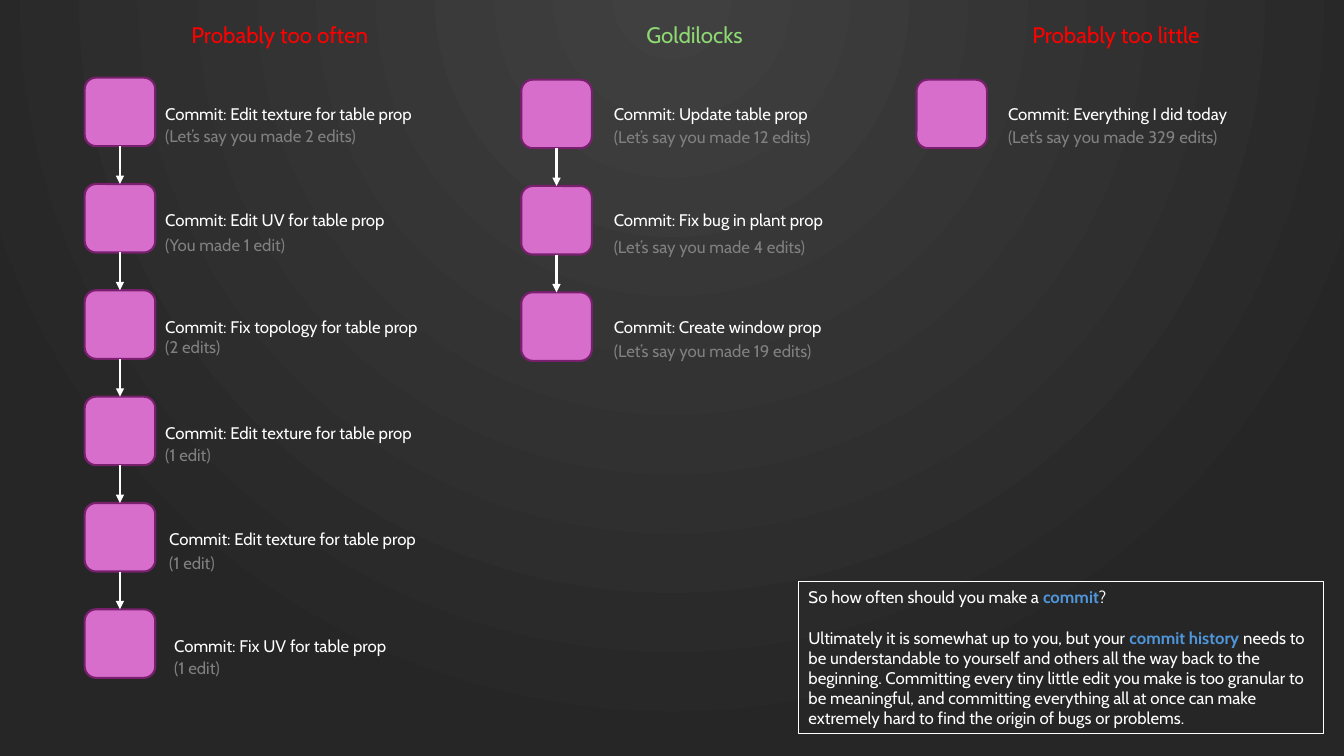
from dataclasses import dataclass

from lxml import etree
from pptx import Presentation
from pptx.dml.color import RGBColor
from pptx.enum.shapes import MSO_CONNECTOR, MSO_SHAPE
from pptx.enum.text import MSO_ANCHOR, MSO_AUTO_SIZE, PP_ALIGN
from pptx.oxml.ns import qn
from pptx.util import Inches, Pt

ROUNDED, RECTANGLE = MSO_SHAPE.ROUNDED_RECTANGLE, MSO_SHAPE.RECTANGLE
STRAIGHT = MSO_CONNECTOR.STRAIGHT
TOP, MIDDLE = MSO_ANCHOR.TOP, MSO_ANCHOR.MIDDLE
LEFT = PP_ALIGN.LEFT
FIT_SHAPE = MSO_AUTO_SIZE.SHAPE_TO_FIT_TEXT
SITE_TOP, SITE_BOTTOM = 0, 2
TITLE_ONLY = 5


@dataclass(frozen=True)
class Theme:
    font: str = "Cabin"
    heading_size: float = 16
    text_size: float = 12
    white: str = "FFFFFF"
    grey: str = "808080"
    warning: str = "FF0000"
    good: str = "8ED973"
    accent: str = "4E95D9"
    commit_fill: str = "D86ECC"
    commit_line: str = "78206E"
    glow: str = "404040"
    edge: str = "262626"


THEME = Theme()

# Commits: message, message width, note, note width, label left, gap from message to note
COLUMNS = [
    {
        "heading": "Probably too often", "color": THEME.warning,
        "heading_left": 1.8, "heading_width": 1.98,
        "left": 0.84, "top": 0.77,
        "commits": [
            ("Commit: Edit texture for table prop", 2.71, "(Let’s say you made 2 edits)", 2.2, 1.54, 0.22),
            ("Commit: Edit UV for table prop", 2.41, "(You made 1 edit)", 1.46, 1.54, 0.24),
            ("Commit: Fix topology for table prop", 2.75, "(2 edits)", 0.79, 1.54, 0.2),
            ("Commit: Edit texture for table prop", 2.71, "(1 edit)", 0.7, 1.54, 0.22),
            ("Commit: Edit texture for table prop", 2.71, "(1 edit)", 0.7, 1.58, 0.23),
            ("Commit: Fix UV for table prop", 2.33, "(1 edit)", 0.7, 1.63, 0.22),
        ],
    },
    {
        "heading": "Goldilocks", "color": THEME.good,
        "heading_left": 6.31, "heading_width": 1.24,
        "left": 5.17, "top": 0.79,
        "commits": [
            ("Commit: Update table prop", 2.19, "(Let’s say you made 12 edits)", 2.29, 5.99, 0.23),
            ("Commit: Fix bug in plant prop", 2.33, "(Let’s say you made 4 edits)", 2.2, 5.99, 0.26),
            ("Commit: Create window prop", 2.33, "(Let’s say you made 19 edits)", 2.29, 5.99, 0.24),
        ],
    },
    {
        "heading": "Probably too little", "color": THEME.warning,
        "heading_left": 10.14, "heading_width": 1.9,
        "left": 9.09, "top": 0.79,
        "commits": [
            ("Commit: Everything I did today", 2.41, "(Let’s say you made 329 edits)", 2.37, 9.9, 0.23),
        ],
    },
]
TITLE_HEADING = "Goldilocks"

# Paragraphs of (words, is key term)
ADVICE = [
    [("So how often should you make a ", False), ("commit", True), ("?", False)],
    [
        ("Ultimately it is somewhat up to you, but your ", False),
        ("commit history ", True),
        ("needs to be understandable to yourself and others all the way back to the "
         "beginning. Committing every tiny little edit you make is too granular to be "
         "meaningful, and committing everything all at once can make extremely hard to "
         "find the origin of bugs or problems.", False),
    ],
]

ROW_PITCH = 1.055
MESSAGE_TOP = 0.98
COMMIT_SIZE = (0.7, 0.68)
LABEL_HEIGHT = 0.3
HEADING_TOP, HEADING_HEIGHT = 0.16, 0.37
ADVICE_AREA = (7.92, 5.77, 5.21, 1.51)
ADVICE_GAP = 14.4


def rgb(color):
    return RGBColor.from_string(color)


def style_font(font, size, color, bold=False):
    font.name = THEME.font
    font.size = Pt(size)
    font.bold = bold
    font.color.rgb = rgb(color)


def paint_background(slide):
    fill = slide.background.fill
    fill.gradient()
    for stop, color in zip(fill.gradient_stops, (THEME.glow, THEME.edge)):
        stop.color.rgb = rgb(color)
    for position, stop in enumerate(fill.gradient_stops):
        stop.position = position
    gradient = next(slide.element.iter(qn("a:gradFill")))
    linear = gradient.find(qn("a:lin"))
    circle = etree.Element(qn("a:path"), {"path": "circle"})
    etree.SubElement(circle, qn("a:fillToRect"),
                     {"l": "50000", "t": "-80000", "r": "50000", "b": "180000"})
    gradient.replace(linear, circle)


def write_line(holder, words, size, color):
    """Put one unwrapped, left-aligned line into a text box or placeholder."""
    frame = holder.text_frame
    frame.text = words
    frame.word_wrap = False
    frame.auto_size = FIT_SHAPE
    frame.vertical_anchor = TOP
    paragraph = frame.paragraphs[0]
    paragraph.alignment = LEFT
    style_font(paragraph.runs[0].font, size, color)


def add_heading(slide, column):
    area = [Inches(n) for n in (column["heading_left"], HEADING_TOP,
                                column["heading_width"], HEADING_HEIGHT)]
    if column["heading"] == TITLE_HEADING:
        holder = slide.shapes.title
        holder.left, holder.top, holder.width, holder.height = area
    else:
        holder = slide.shapes.add_textbox(*area)
    write_line(holder, column["heading"], THEME.heading_size, column["color"])


def add_label(slide, words, left, top, width, color):
    label = slide.shapes.add_textbox(Inches(left), Inches(top),
                                     Inches(width), Inches(LABEL_HEIGHT))
    write_line(label, words, THEME.text_size, color)


def add_commit_box(slide, left, top):
    box = slide.shapes.add_shape(ROUNDED, *map(Inches, (left, top, *COMMIT_SIZE)))
    box.shadow.inherit = False
    box.fill.solid()
    box.fill.fore_color.rgb = rgb(THEME.commit_fill)
    box.line.color.rgb = rgb(THEME.commit_line)
    box.line.width = Pt(1.5)
    return box


def add_arrow(slide, upper, lower):
    arrow = slide.shapes.add_connector(STRAIGHT, 0, 0, 0, 0)
    arrow.begin_connect(upper, SITE_BOTTOM)
    arrow.end_connect(lower, SITE_TOP)
    arrow.line.color.rgb = rgb(THEME.white)
    arrow.line.width = Pt(1.5)
    etree.SubElement(arrow.line._get_or_add_ln(), qn("a:tailEnd"), {"type": "triangle"})
    etree.SubElement(arrow.element.spPr, qn("a:effectLst"))


def add_column(slide, column):
    add_heading(slide, column)
    boxes = []
    for row, commit in enumerate(column["commits"]):
        message, message_width, note, note_width, left, gap = commit
        drop = row * ROW_PITCH
        message_top = MESSAGE_TOP + drop
        boxes.append(add_commit_box(slide, column["left"], column["top"] + drop))
        add_label(slide, message, left, message_top, message_width, THEME.white)
        add_label(slide, note, left, message_top + gap, note_width, THEME.grey)
    for upper, lower in zip(boxes, boxes[1:]):
        add_arrow(slide, upper, lower)


def add_advice(slide):
    panel = slide.shapes.add_shape(RECTANGLE, *map(Inches, ADVICE_AREA))
    panel.shadow.inherit = False
    panel.fill.background()
    panel.line.color.rgb = rgb(THEME.white)
    panel.line.width = Pt(0.75)
    frame = panel.text_frame
    frame.word_wrap = True
    frame.auto_size = FIT_SHAPE
    frame.vertical_anchor = MIDDLE
    for index, passage in enumerate(ADVICE):
        paragraph = frame.add_paragraph() if index else frame.paragraphs[0]
        paragraph.alignment = LEFT
        paragraph.space_before = Pt(ADVICE_GAP if index else 0)
        for words, is_key_term in passage:
            run = paragraph.add_run()
            run.text = words
            color = THEME.accent if is_key_term else THEME.white
            style_font(run.font, THEME.text_size, color, is_key_term)


def main():
    deck = Presentation()
    deck.slide_width, deck.slide_height = Inches(13.33), Inches(7.5)
    slide = deck.slides.add_slide(deck.slide_layouts[TITLE_ONLY])
    paint_background(slide)
    for column in COLUMNS:
        add_column(slide, column)
    add_advice(slide)
    deck.save("out.pptx")


if __name__ == "__main__":
    main()
